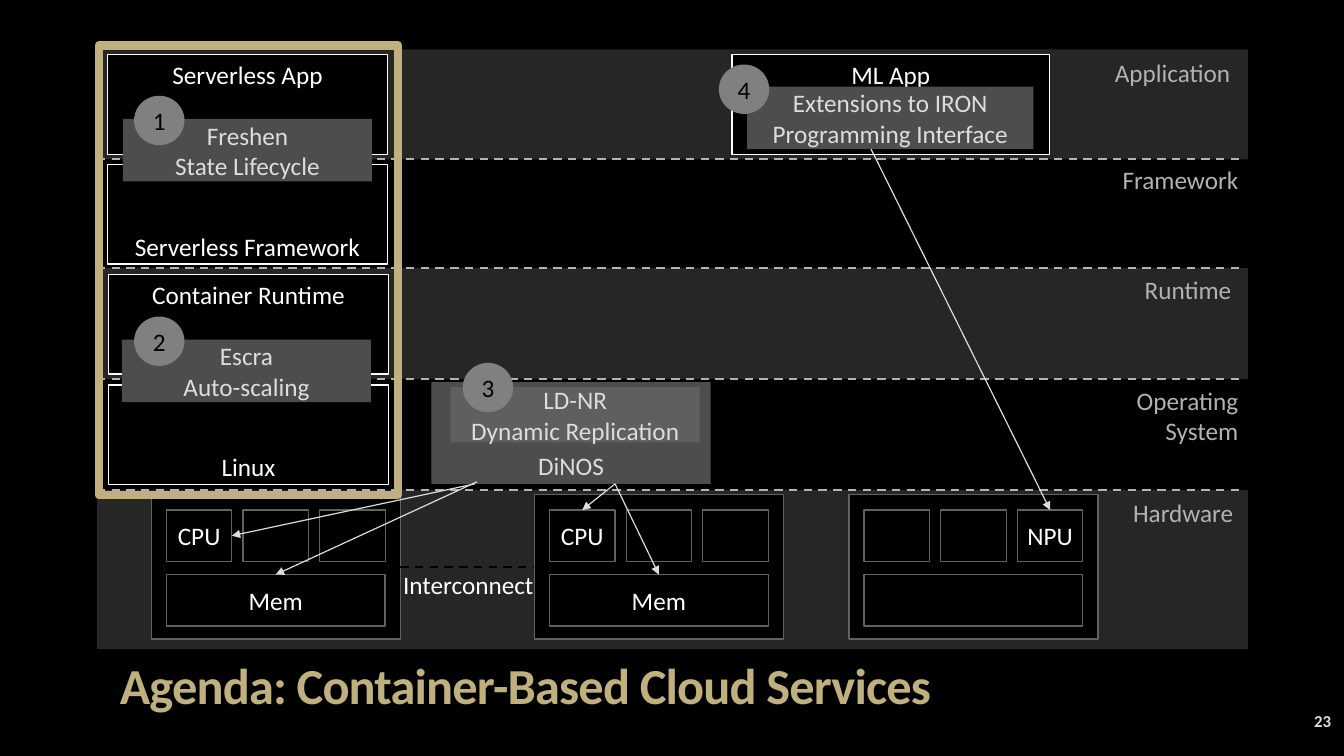
from lxml import etree
from pptx import Presentation
from pptx.dml.color import RGBColor
from pptx.enum.dml import MSO_LINE
from pptx.enum.shapes import MSO_CONNECTOR, MSO_SHAPE
from pptx.enum.text import MSO_ANCHOR, PP_ALIGN
from pptx.oxml.ns import qn
from pptx.util import Inches, Pt

RECT, OVAL = MSO_SHAPE.RECTANGLE, MSO_SHAPE.OVAL
STRAIGHT, DASH = MSO_CONNECTOR.STRAIGHT, MSO_LINE.DASH
TOP, MIDDLE, BOTTOM = MSO_ANCHOR.TOP, MSO_ANCHOR.MIDDLE, MSO_ANCHOR.BOTTOM
LEFT, CENTER, RIGHT = PP_ALIGN.LEFT, PP_ALIGN.CENTER, PP_ALIGN.RIGHT
SITE_TOP, SITE_LEFT, SITE_RIGHT = 0, 1, 3

FONT = "Calibri"
COLORS = {
    "black": "000000", "white": "FFFFFF", "band": "262626", "divider": "B2B2B2",
    "edge": "616161", "project": "4D4D4D", "inner": "5F5F5F", "light": "DDDDDD",
    "badge": "808080", "gold": "BFB07D",
}

TITLE = "Agenda: Container-Based Cloud Services"
PAGE = "23"

# label, layer top, label right edge, label top
LAYERS = [
    ("Application", 0.49, 12.3, 0.52),
    ("Framework", 1.58, 12.38, 1.58),
    ("Runtime", 2.66, 12.31, 2.67),
    ("Operating System", 3.76, 12.38, 3.77),
    ("Hardware", 4.86, 12.33, 4.88),
]
STACK_LEFT, STACK_RIGHT, STACK_BOTTOM, DIVIDER_END = 0.96, 12.38, 6.44, 12.3

# left, processor labels, memory label
NODES = [
    (1.5, ["CPU", "", ""], "Mem"),
    (5.3, ["CPU", "", ""], "Mem"),
    (8.42, ["", "", "NPU"], ""),
]
NODE_TOP, NODE_PAD, CELL_PITCH = 4.91, 0.15, 0.76

# label, box, vertical anchor
SOFTWARE = [
    ("ML App", (7.26, 0.54, 3.15, 0.99), TOP),
    ("Serverless App", (1.07, 0.54, 2.77, 0.99), TOP),
    ("Serverless Framework", (1.07, 1.63, 2.77, 0.99), BOTTOM),
    ("Container Runtime", (1.08, 2.72, 2.77, 0.99), TOP),
    ("Linux", (1.08, 3.82, 2.77, 0.99), BOTTOM),
]
# lines, box, fill, vertical anchor
PROJECTS = [
    (["Extensions to IRON", "Programming Interface"], (7.41, 0.86, 2.84, 0.62), "project", MIDDLE),
    (["Freshen", "State Lifecycle"], (1.22, 1.18, 2.47, 0.62), "project", MIDDLE),
    (["Escra", "Auto-scaling"], (1.21, 3.37, 2.47, 0.62), "project", MIDDLE),
    (["DiNOS"], (4.28, 3.79, 2.77, 1.01), "project", BOTTOM),
    (["LD-NR", "Dynamic Replication"], (4.47, 3.84, 2.47, 0.55), "inner", MIDDLE),
]
# start point, (node, part), connection site
ARROWS = [
    ((4.71, 4.8), (0, 0), SITE_RIGHT),
    ((4.73, 4.78), (0, "memory"), SITE_TOP),
    ((6.1, 4.8), (1, 0), SITE_TOP),
    ((6.1, 4.8), (1, "memory"), SITE_TOP),
    ((8.64, 1.48), (2, 2), SITE_TOP),
]
BADGES = [("1", 1.33, 0.95), ("2", 1.33, 3.14), ("3", 4.59, 3.6), ("4", 7.13, 0.64)]
FRAME = (0.98, 0.45, 2.97, 4.46)


def rgb(name):
    return RGBColor.from_string(COLORS[name])


def write(tf, lines, color, align, anchor, size=18, bold=False):
    tf.word_wrap = True
    tf.vertical_anchor = anchor
    for i, line in enumerate(lines):
        p = tf.paragraphs[0] if i == 0 else tf.add_paragraph()
        p.alignment = align
        r = p.add_run()
        r.text = line
        r.font.name, r.font.size, r.font.bold = FONT, Pt(size), bold
        r.font.color.rgb = rgb(color)


def add_box(box, fill=None, line=None, lines=(), color="white", anchor=MIDDLE,
            kind=RECT, width=0.85):
    sp = s.shapes.add_shape(kind, *map(Inches, box))
    sp.shadow.inherit = False
    if fill:
        sp.fill.solid()
        sp.fill.fore_color.rgb = rgb(fill)
    else:
        sp.fill.background()
    if line:
        sp.line.color.rgb = rgb(line)
        sp.line.width = Pt(width)
    else:
        sp.line.fill.background()
    tf = sp.text_frame
    tf.margin_left = tf.margin_right = 0
    tf.margin_top = Inches(0.05 if anchor == TOP else 0)
    tf.margin_bottom = Inches(0.03 if anchor == BOTTOM else 0)
    write(tf, lines, color, CENTER, anchor)
    return sp


def add_label(box, text, color, align=LEFT, anchor=TOP, size=18, bold=False):
    tf = s.shapes.add_textbox(*map(Inches, box)).text_frame
    write(tf, [text], color, align, anchor, size, bold)
    return tf.paragraphs[0]


def add_line(start, end, color, width, dashed=False, arrow=False):
    cx = s.shapes.add_connector(STRAIGHT, *map(Inches, (*start, *end)))
    cx.line.color.rgb = rgb(color)
    cx.line.width = Pt(width)
    if dashed:
        cx.line.dash_style = DASH
    if arrow:
        etree.SubElement(cx.line._get_or_add_ln(), qn("a:tailEnd"), type="triangle")
    etree.SubElement(cx._element.spPr, qn("a:effectLst"))
    return cx


def add_node(left, processors, memory):
    """Draw one machine and return its parts by name or processor index."""
    inner, row = left + NODE_PAD, NODE_TOP + NODE_PAD
    parts = {"body": add_box((left, NODE_TOP, 2.47, 1.43), "black", "edge")}
    for i, label in enumerate(processors):
        cell = (inner + i * CELL_PITCH, row, 0.65, 0.51)
        parts[i] = add_box(cell, "black", "edge", [label] if label else [])
    parts["memory"] = add_box((inner, row + 0.64, 2.17, 0.51), "black", "edge",
                              [memory] if memory else [])
    return parts


prs = Presentation()
prs.slide_width, prs.slide_height = Inches(13.33), Inches(7.5)
s = prs.slides.add_slide(prs.slide_layouts[6])
s.background.fill.solid()
s.background.fill.fore_color.rgb = rgb("black")

tops = [layer[1] for layer in LAYERS]
for i, (top, bottom) in enumerate(zip(tops, tops[1:] + [STACK_BOTTOM])):
    if i % 2 == 0:
        add_box((STACK_LEFT, top, STACK_RIGHT - STACK_LEFT, bottom - top), "band")
for top in tops[1:]:
    add_line((STACK_LEFT, top), (DIVIDER_END, top), "divider", 1.5, dashed=True)

nodes = [add_node(*node) for node in NODES]
for label, box, anchor in SOFTWARE:
    add_box(box, "black", "white", [label], anchor=anchor)
for lines, box, fill, anchor in PROJECTS:
    add_box(box, fill, None, lines, "light", anchor)

for start, (node, part), site in ARROWS:
    cx = add_line(start, start, "light", 0.85, arrow=True)
    cx.end_connect(nodes[node][part], site)
interconnect = add_line((3.97, 5.63), (5.3, 5.63), "black", 1.5, dashed=True)
interconnect.begin_connect(nodes[0]["body"], SITE_RIGHT)
interconnect.end_connect(nodes[1]["body"], SITE_LEFT)
add_label((3.9, 5.6, 1.75, 0.36), "Interconnect", "white")

for label, _, right, top in LAYERS:
    add_label((right - 1.55, top, 1.55, 0.4), label, "divider", RIGHT)
for number, left, top in BADGES:
    add_box((left, top, 0.5, 0.49), "badge", None, [number], "black", kind=OVAL)

title = add_label((1.09, 6.51, 11.07, 0.7), TITLE, "gold", size=36, bold=True)
title.line_spacing = 0.9
title.runs[0].font._element.set("spc", "-60")
add_label((11.63, 6.95, 1.67, 0.4), PAGE, "light", RIGHT, MIDDLE, 12, True)

frame = add_box(FRAME, line="gold", width=6)
etree.SubElement(frame.line._get_or_add_ln(), qn("a:round"))

prs.save("out.pptx")
